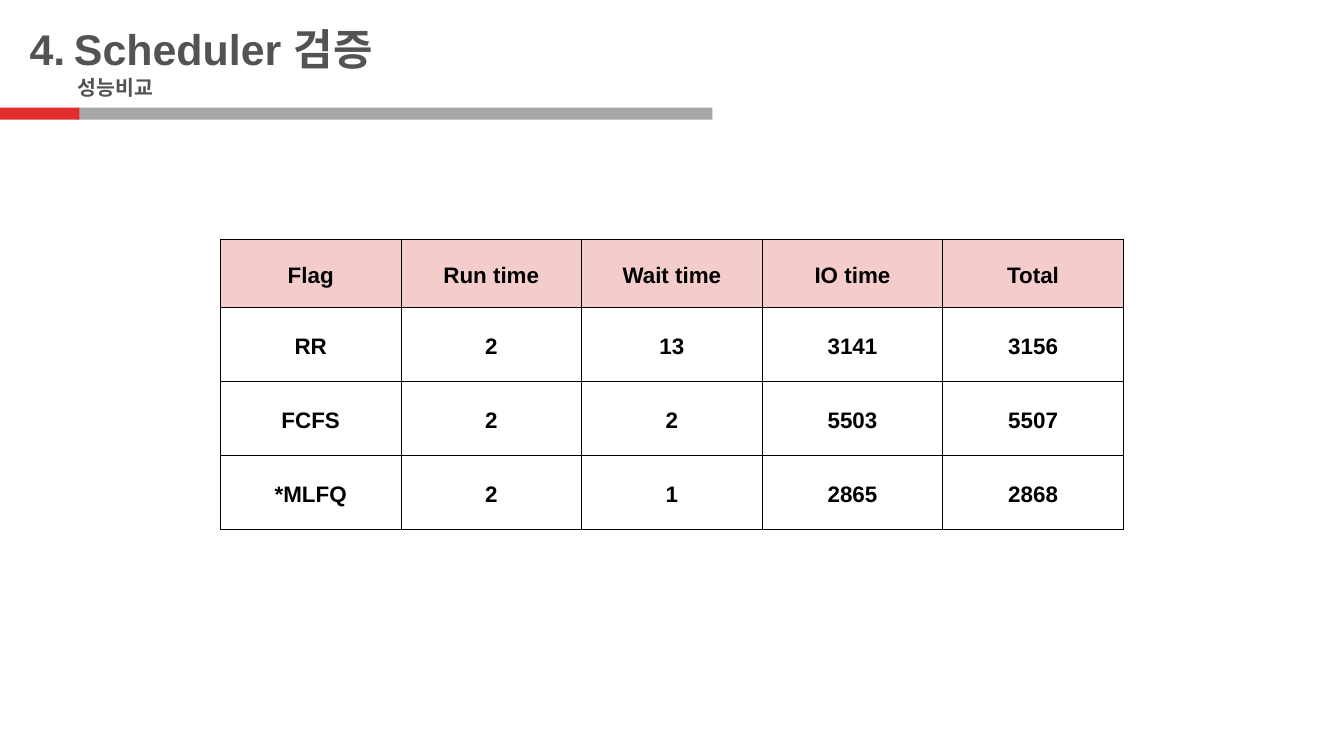
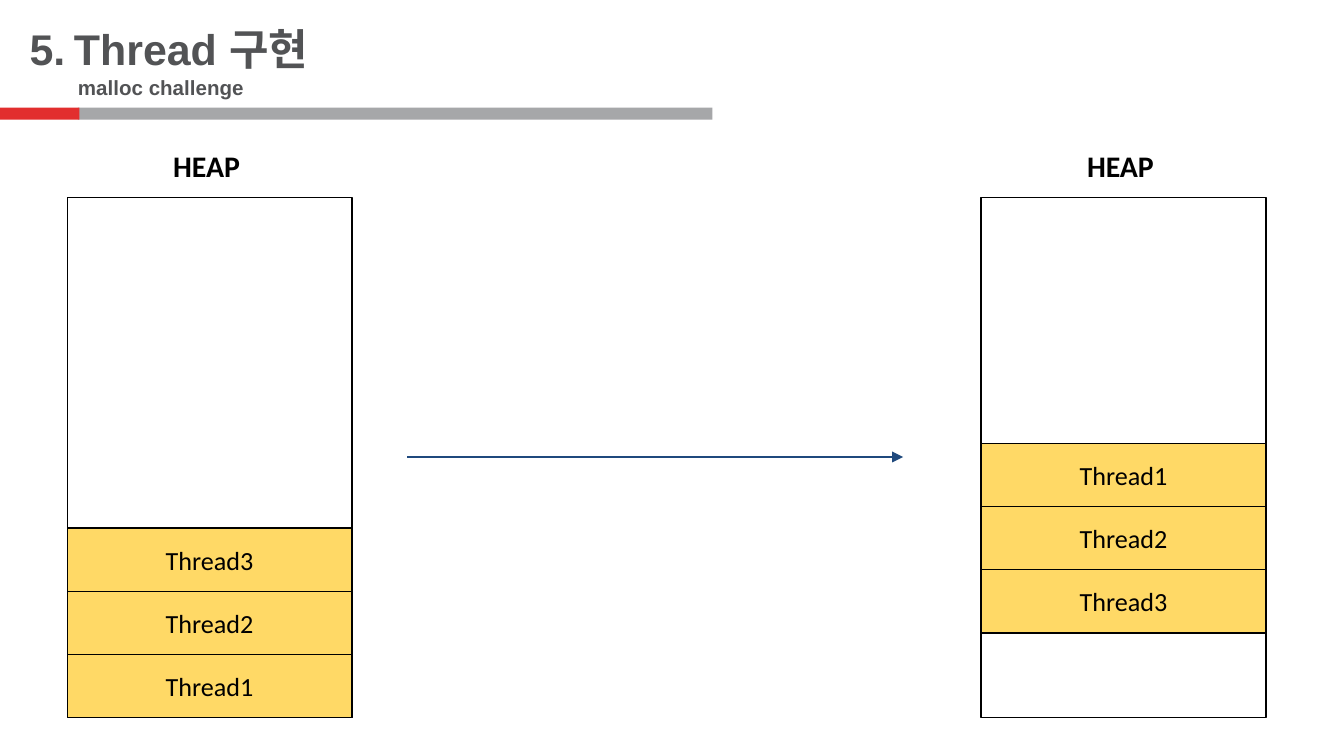
from pptx import Presentation
from pptx.util import Inches, Pt
from pptx.dml.color import RGBColor
from pptx.enum.shapes import MSO_SHAPE as Shape, MSO_CONNECTOR as Conn
from pptx.enum.text import PP_ALIGN as Align, MSO_ANCHOR as Anchor, MSO_AUTO_SIZE as Fit
from pptx.oxml.ns import qn
from lxml.etree import SubElement as Sub

# Content
HEADS = [
    ("4.", "Scheduler 검증", "성능비교"),
    ("5.", "Thread 구현", "malloc challenge"),
]
TIMES = [
    ("Flag", "Run time", "Wait time", "IO time", "Total"),
    ("RR", "2", "13", "3141", "3156"),
    ("FCFS", "2", "2", "5503", "5507"),
    ("*MLFQ", "2", "1", "2865", "2868"),
]
# Left edge, top of the first block, blocks from top to bottom
HEAPS = [
    (0.5, 3.93, ("Thread3", "Thread2", "Thread1")),
    (7.3, 3.3, ("Thread1", "Thread2", "Thread3")),
]

# Shared style
WIDTH = 10
GREY, RED, BAND = "525355", "E22E2E", "A6A7A9"
BLACK, PINK, GOLD, NAVY = "000000", "F4CCCC", "FFD966", "1F497D"
HEAP_W, HEAP_H, HEAP_Y, BLOCK_H = 2.12, 3.87, 1.47, 0.47
TAG_X, TAG_W = 0.69, 0.73


def rgb(code):
    return RGBColor.from_string(code)


def write(frame, text, size, color, face="Arial", bold=True,
          align=Align.LEFT, pad=(0.05, 0.02)):
    frame.text = text
    frame.margin_left = frame.margin_right = Inches(pad[0])
    frame.margin_top = frame.margin_bottom = Inches(pad[1])
    para = frame.paragraphs[0]
    para.alignment = align
    font = para.runs[0].font
    font.name, font.size, font.bold = face, Pt(size), bold
    font.color.rgb = rgb(color)


def place(shape, x, y, w, h):
    shape.left, shape.top = Inches(x), Inches(y)
    shape.width, shape.height = Inches(w), Inches(h)


def add_text(slide, x, y, w, h):
    box = slide.shapes.add_textbox(Inches(x), Inches(y), Inches(w), Inches(h))
    box.text_frame.word_wrap = True
    box.text_frame.auto_size = Fit.SHAPE_TO_FIT_TEXT
    return box.text_frame


def add_rect(slide, x, y, w, h, fill=None, line=None):
    rect = slide.shapes.add_shape(
        Shape.RECTANGLE, Inches(x), Inches(y), Inches(w), Inches(h))
    rect.shadow.inherit = False
    if fill:
        rect.fill.solid()
        rect.fill.fore_color.rgb = rgb(fill)
    else:
        rect.fill.background()
    if line:
        rect.line.color.rgb = rgb(line)
        rect.line.width = Pt(0.75)
    else:
        rect.line.fill.background()
    return rect


def add_head(deck, num, name, sub):
    slide = deck.slides.add_slide(deck.slide_layouts[5])
    title = slide.shapes.title
    place(title, 0.5, 0.15, 5.81, 0.44)
    frame = title.text_frame
    write(frame, name, 23, GREY)
    frame.vertical_anchor = Anchor.TOP
    frame.auto_size = Fit.SHAPE_TO_FIT_TEXT
    write(add_text(slide, 0.17, 0.15, 1.71, 0.44), num, 23, GREY)
    write(add_text(slide, 0.53, 0.54, 1.63, 0.24), sub, 11, GREY)
    add_rect(slide, 0.58, 0.8, 4.72, 0.09, BAND)
    add_rect(slide, 0, 0.8, 0.59, 0.09, RED)
    return slide


def add_edges(cell):
    props = cell._tc.get_or_add_tcPr()
    for n, side in enumerate(("lnL", "lnR", "lnT", "lnB")):
        edge = props.makeelement(qn("a:" + side), {"w": str(Pt(0.56))})
        props.insert(n, edge)
        fill = Sub(edge, qn("a:solidFill"))
        Sub(fill, qn("a:srgbClr"), val=BLACK)


def add_times(slide):
    rows, cols = len(TIMES), len(TIMES[0])
    table = slide.shapes.add_table(
        rows, cols, Inches(1.64), Inches(1.78), Inches(6.72), Inches(2.16)).table
    for r, line in enumerate(TIMES):
        table.rows[r].height = Inches(0.55 if r else 0.51)
        for c, text in enumerate(line):
            cell = table.cell(r, c)
            write(cell.text_frame, text, 12, BLACK, align=Align.CENTER)
            cell.text_frame.paragraphs[0].line_spacing = 1.15
            cell.margin_left = cell.margin_right = 0
            cell.margin_top = cell.margin_bottom = Inches(0.02 if r else 0)
            cell.vertical_anchor = Anchor.MIDDLE
            if r:
                cell.fill.background()
            else:
                cell.fill.solid()
                cell.fill.fore_color.rgb = rgb(PINK)
            add_edges(cell)


def add_heap(slide, x, top, names):
    add_rect(slide, x, HEAP_Y, HEAP_W, HEAP_H, line=BLACK)
    tag = add_text(slide, x + TAG_X, 1, TAG_W, 0.47)
    write(tag, "HEAP", 16, BLACK, "Calibri", pad=(0.1, 0.1))
    for n, name in enumerate(names):
        block = add_rect(slide, x, top + n * BLOCK_H, HEAP_W, BLOCK_H, GOLD, BLACK)
        block.text_frame.vertical_anchor = Anchor.MIDDLE
        write(block.text_frame, name, 14, BLACK, "Calibri", False,
              Align.CENTER, (0.1, 0.1))


def add_arrow(slide, x, y, end):
    arrow = slide.shapes.add_connector(
        Conn.STRAIGHT, Inches(x), Inches(y), Inches(end), Inches(y))
    arrow.line.color.rgb = rgb(NAVY)
    arrow.line.width = Pt(0.75)
    Sub(arrow.line._get_or_add_ln(), qn("a:tailEnd"), type="triangle")
    Sub(arrow._element.spPr, qn("a:effectLst"))


def main():
    # Widescreen, 16 to 9
    deck = Presentation()
    deck.slide_width, deck.slide_height = Inches(WIDTH), Inches(WIDTH * 9 / 16)
    perf, thread = [add_head(deck, *head) for head in HEADS]

    # Scheduler times
    add_times(perf)

    # Heap before and after
    for heap in HEAPS:
        add_heap(thread, *heap)
    add_arrow(thread, 3.03, 3.4, 6.72)

    deck.save("out.pptx")


if __name__ == "__main__":
    main()
